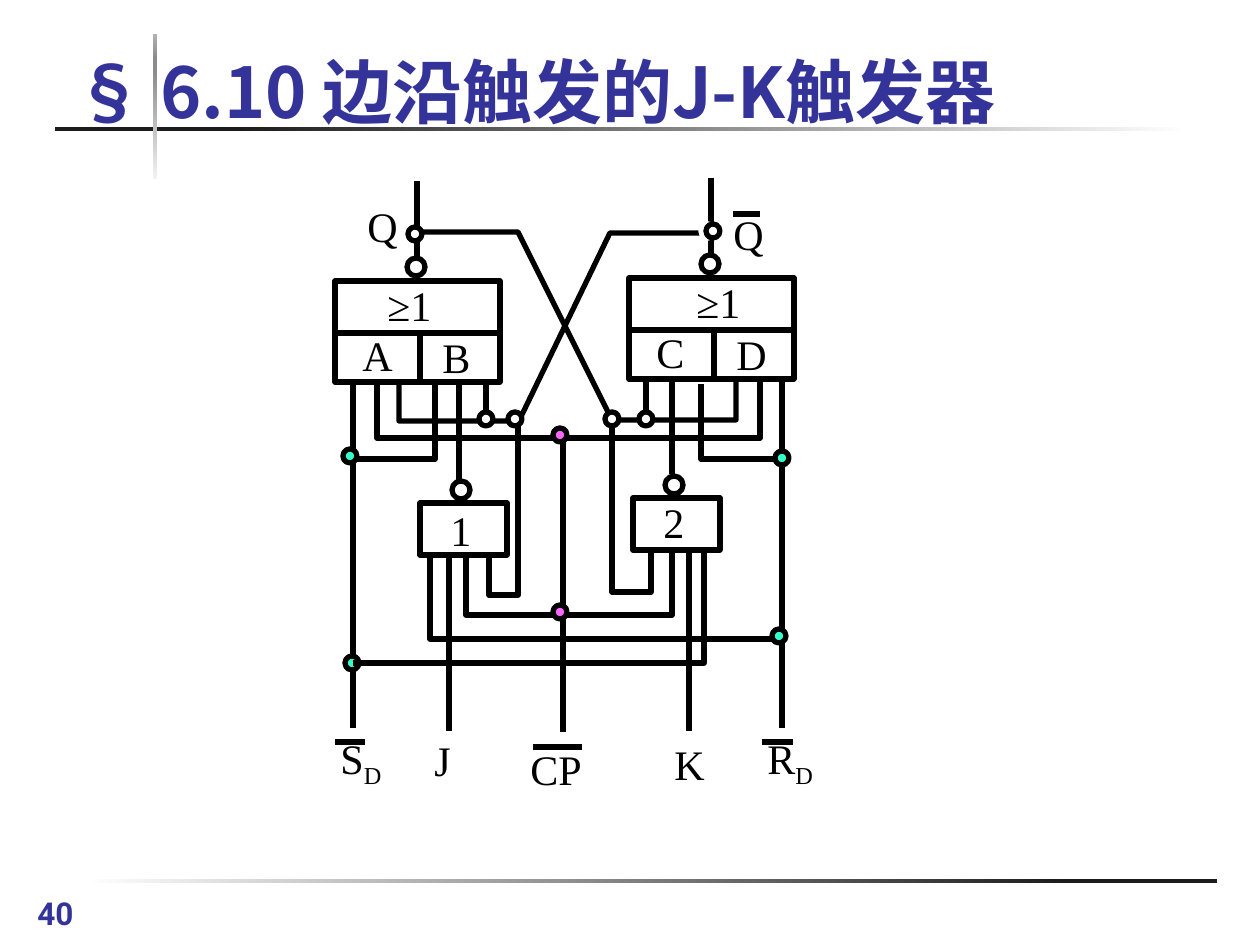
from lxml.etree import SubElement
from pptx import Presentation
from pptx.dml.color import RGBColor
from pptx.enum.shapes import MSO_CONNECTOR, MSO_SHAPE
from pptx.enum.text import MSO_ANCHOR
from pptx.oxml.ns import qn
from pptx.util import Pt

PX = 914400 / 126
COLORS = {
    "ink": "000000", "title": "333399", "white": "FFFFFF", "pink": "FF66FF",
    "green": "37FFCB", "dark": "1C1C1C", "pale": "F2F2F2", "grey": "8C8C8C",
    "silver": "B2B2B2",
}

deck = Presentation()
deck.slide_width, deck.slide_height = round(1260 * PX), round(945 * PX)
page = deck.slides.add_slide(deck.slide_layouts[6])


def add_outline(kind, bounds, fill=None, line="ink"):
    shape = page.shapes.add_shape(kind, *[round(value * PX) for value in bounds])
    shape.shadow.inherit = False
    if fill:
        shape.fill.solid()
        shape.fill.fore_color.rgb = RGBColor.from_string(COLORS[fill])
    else:
        shape.fill.background()
    shape.line.color.rgb = RGBColor.from_string(COLORS[line])
    shape.line.width = Pt(3)
    return shape


def add_wire(points):
    if len(points) == 2:
        ends = [round(value * PX) for point in points for value in point]
        wire = page.shapes.add_connector(MSO_CONNECTOR.STRAIGHT, *ends)
        SubElement(wire._element.spPr, qn("a:effectLst"))
    else:
        builder = page.shapes.build_freeform(*points[0], scale=PX)
        builder.add_line_segments(points[1:], close=False)
        wire = builder.convert_to_shape()
        wire.shadow.inherit = False
        wire.fill.background()
    wire.line.color.rgb = RGBColor.from_string(COLORS["ink"])
    wire.line.width = Pt(3)


rules = [
    ((83, 879, 1134, 4), 0, [(0, "white"), (87, "dark")]),
    ((55, 127, 1134, 4), 0, [(16, "dark"), (100, "white")]),
    ((153, 34, 4, 145), 90, [(0, "pale"), (74, "grey"), (83, "grey"), (100, "silver")]),
]
for bounds, angle, stops in rules:
    rule = add_outline(MSO_SHAPE.RECTANGLE, bounds)
    rule.line.fill.background()
    rule.fill.gradient()
    rule.fill.gradient_angle = angle
    stop_list = rule._element.spPr.find(qn("a:gradFill")).find(qn("a:gsLst"))
    stop_list.clear()
    for position, color in stops:
        stop = SubElement(stop_list, qn("a:gs"), pos=str(position * 1000))
        SubElement(stop, qn("a:srgbClr"), val=COLORS[color])

labels = [
    ("Q", 355, 194), ("Q", 721, 202), ("CP", 518, 737), ("RD", 755, 733),
    ("SD", 328, 733), ("J", 422, 728), ("K", 662, 732), ("1", 438, 498),
    ("2", 651, 490),
]

for left, top, names, symbol_left in [(335, 281, "AB", 375), (629, 278, "CD", 684)]:
    add_outline(MSO_SHAPE.RECTANGLE, (left, top, 165, 101))
    add_wire([(left + 3, top + 52), (left + 166, top + 52)])
    add_wire([(left + 85, top + 101), (left + 85, top + 52)])
    add_outline(MSO_SHAPE.OVAL, (left + 72, top - 23, 18, 18))
    add_wire([(left + 82, top - 23), (left + 82, top - 100)])
    labels += [
        ("≥1", symbol_left, top - 8),
        (names[0], left + 15, top + 42),
        (names[1], left + 95, top + 44),
    ]

for left, top in [(420, 503), (633, 498)]:
    add_outline(MSO_SHAPE.RECTANGLE, (left, top, 87, 52))
    add_outline(MSO_SHAPE.OVAL, (left + 32, top - 22, 18, 18))

wires = [
    [(415, 232), (518, 232), (612, 420), (736, 420), (736, 379)],
    [(711, 233), (610, 233), (519, 421), (399, 421), (399, 382)],
    [(646, 379), (646, 420)],
    [(486, 382), (486, 415)],
    [(459, 481), (459, 384)],
    [(672, 474), (672, 377)],
    [(612, 420), (612, 592), (651, 592), (651, 549)],
    [(518, 422), (518, 595), (489, 595), (489, 552)],
    [(377, 382), (377, 438), (760, 438), (760, 379)],
    [(563, 441), (563, 732)],
    [(466, 554), (466, 615), (672, 615), (672, 552)],
    [(689, 549), (689, 731)],
    [(449, 554), (449, 731)],
    [(353, 382), (353, 728)],
    [(782, 382), (782, 728)],
    [(435, 384), (435, 459), (353, 459)],
    [(701, 384), (701, 459), (782, 459)],
    [(430, 554), (430, 639), (782, 639)],
]
overlines = [(733, 760, 214), (533, 582, 747), (762, 793, 742), (335, 365, 742)]
wires += [[(start, top), (end, top)] for start, end, top in overlines]
for points in wires:
    add_wire(points)

dots = [
    (553, 605, "pink", "ink"), (553, 428, "pink", "ink"),
    (772, 629, "green", "ink"), (775, 451, "green", "ink"),
    (343, 449, "green", "ink"), (345, 656, "green", "ink"),
    (639, 412, "white", "ink"), (479, 412, "white", "ink"),
    (508, 412, "white", "ink"), (605, 412, "white", "ink"),
    (701, 224, "white", "white"), (706, 224, "white", "ink"),
    (408, 227, "white", "ink"),
]
for left, top, fill, line in dots:
    add_outline(MSO_SHAPE.OVAL, (left, top, 14, 14), fill, line)
add_wire([(353, 663), (704, 663), (704, 551)])

label_format = {"name": "Times New Roman", "size": Pt(24), "bold": False}
title_format = {"name": "Noto Sans CJK SC", "size": Pt(40), "bold": True}
number_format = {"name": "Roboto", "size": Pt(18), "bold": True}
texts = [
    (["§ 6.10 边沿触发的J-K触发器"], (62, 43, 1023, 96), title_format, "title", MSO_ANCHOR.BOTTOM),
    (["40"], (25, 888, 125, 47), number_format, "title", MSO_ANCHOR.TOP),
]
for text, left, top in labels:
    parts = list(text) if text in ("RD", "SD") else [text]
    texts.append((parts, (left, top, 108, 63), label_format, "ink", MSO_ANCHOR.BOTTOM))

for parts, bounds, font_format, color, anchor in texts:
    box = page.shapes.add_textbox(*[round(value * PX) for value in bounds])
    box.text_frame.word_wrap = True
    box.text_frame.vertical_anchor = anchor
    para = box.text_frame.paragraphs[0]
    for index, part in enumerate(parts):
        span = para.add_run()
        span.text = part
        for name, value in font_format.items():
            setattr(span.font, name, value)
        span.font.color.rgb = RGBColor.from_string(COLORS[color])
        SubElement(span.font._element, qn("a:ea"), typeface=font_format["name"])
        if index:
            span.font._element.set("baseline", "-25000")

deck.save("out.pptx")
